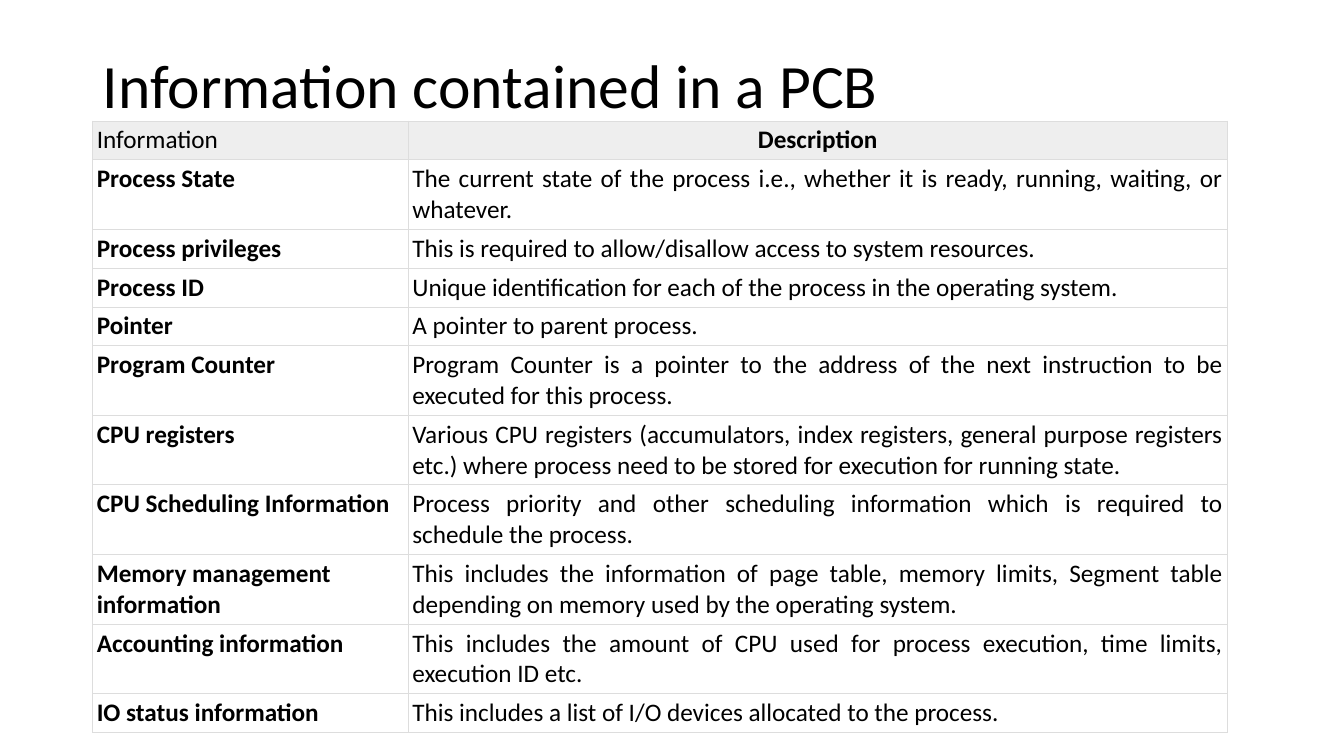
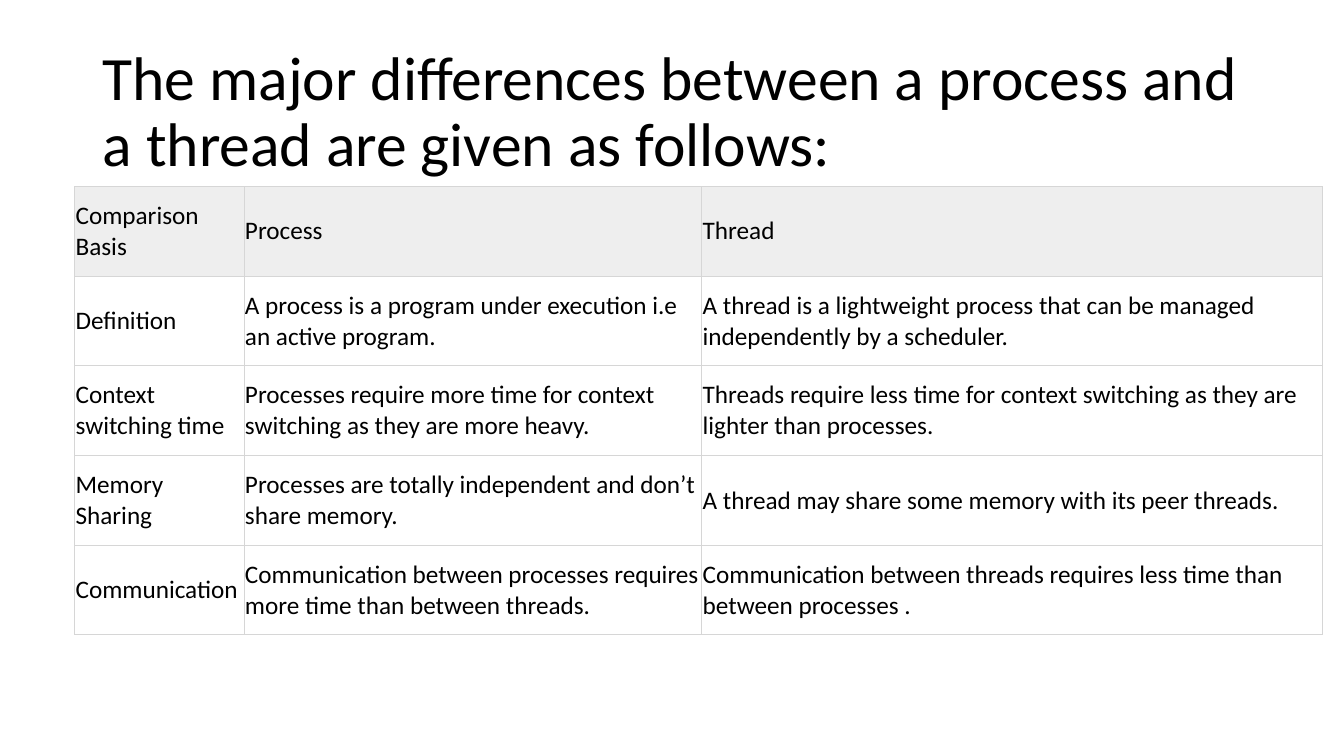
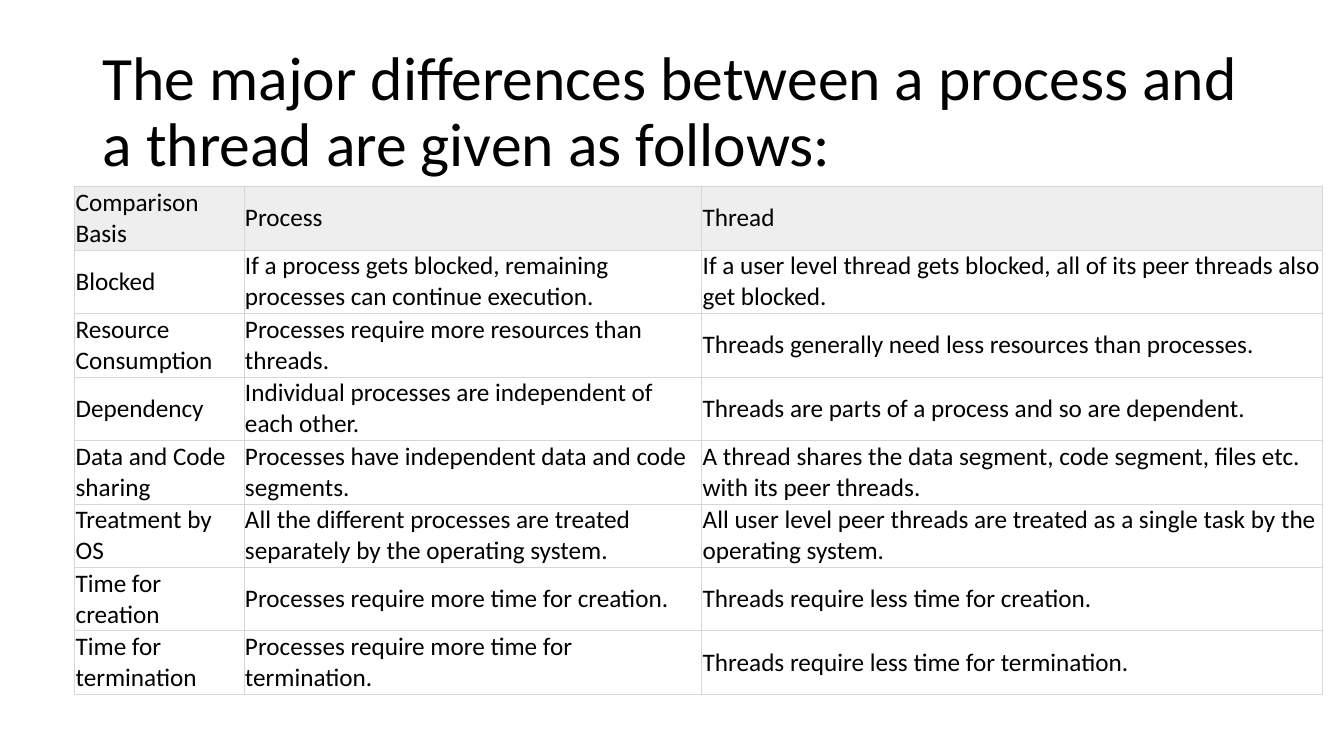
from dataclasses import dataclass

from pptx import Presentation
from pptx import util as u
from pptx.dml import color
from pptx.enum import text
from pptx.oxml import parse_xml
from pptx.oxml import ns


@dataclass(frozen=True)
class Theme:
    """Colours, font and type sizes shared by all slides."""

    font: str = "Calibri"
    ink: str = "000000"
    header: str = "EEEEEE"
    title_size: int = 44
    body_size: int = 18
    border_width: float = 0.75


@dataclass(frozen=True)
class TableStyle:
    """Look of one kind of table."""

    border: str
    inset: float
    anchor: text.MSO_ANCHOR


THEME = Theme()
PCB_STYLE = TableStyle("DDDDDD", 0.04, text.MSO_ANCHOR.TOP)
COMPARISON_STYLE = TableStyle("D6D6D6", 0.01, text.MSO_ANCHOR.MIDDLE)

LINE_HEIGHT, TWO_LINE_HEIGHT = 0.38, 0.68
LINE_LENGTH = 80

PCB_ROWS = [
    ("Information", "Description"),
    ("Process State", "The current state of the process i.e., whether it is ready, running, waiting, or whatever."),
    ("Process privileges", "This is required to allow/disallow access to system resources."),
    ("Process ID", "Unique identification for each of the process in the operating system."),
    ("Pointer", "A pointer to parent process."),
    ("Program Counter", "Program Counter is a pointer to the address of the next instruction to be executed for this process."),
    ("CPU registers", "Various CPU registers (accumulators, index registers, general purpose registers etc.) where process need to be stored for execution for running state."),
    ("CPU Scheduling Information", "Process priority and other scheduling information which is required to schedule the process."),
    ("Memory management information", "This includes the information of page table, memory limits, Segment table depending on memory used by the operating system."),
    ("Accounting information", "This includes the amount of CPU used for process execution, time limits, execution ID etc."),
    ("IO status information", "This includes a list of I/O devices allocated to the process."),
]

COMPARISON_TITLE = "The major differences between a process and a thread are given as follows:"
COMPARISON_HEADER = ("Comparison Basis", "Process", "Thread")
BASIC_DIFFERENCES = [
    ("Definition", "A process is a program under execution i.e an active program.", "A thread is a lightweight process that can be managed independently by a scheduler."),
    ("Context switching time", "Processes require more time for context switching as they are more heavy.", "Threads require less time for context switching as they are lighter than processes."),
    ("Memory Sharing", "Processes are totally independent and don’t share memory.", "A thread may share some memory with its peer threads."),
    ("Communication", "Communication between processes requires more time than between threads.", "Communication between threads requires less time than between processes ."),
]
FURTHER_DIFFERENCES = [
    ("Blocked", "If a process gets blocked, remaining processes can continue execution.", "If a user level thread gets blocked, all of its peer threads also get blocked."),
    ("Resource Consumption", "Processes require more resources than threads.", "Threads generally need less resources than processes."),
    ("Dependency", "Individual processes are independent of each other.", "Threads are parts of a process and so are dependent."),
    ("Data and Code sharing", "Processes have independent data and code segments.", "A thread shares the data segment, code segment, files etc. with its peer threads."),
    ("Treatment by OS", "All the different processes are treated separately by the operating system.", "All user level peer threads are treated as a single task by the operating system."),
    ("Time for creation", "Processes require more time for creation.", "Threads require less time for creation."),
    ("Time for termination", "Processes require more time for termination.", "Threads require less time for termination."),
]


def style_font(para, size, bold=False):
    """Set the shared font on a paragraph."""
    para.font.name = THEME.font
    para.font.size = u.Pt(size)
    para.font.bold = bold
    para.font.color.rgb = color.RGBColor.from_string(THEME.ink)


def add_title(page, wording, height):
    """Place the slide title, centred vertically in its box."""
    box = page.shapes.add_textbox(u.Inches(0.92), u.Inches(0.4), u.Inches(11.5), u.Inches(height))
    frame = box.text_frame
    frame.word_wrap = True
    frame.vertical_anchor = text.MSO_ANCHOR.MIDDLE
    para = frame.paragraphs[0]
    para.text = wording
    para.line_spacing = 0.9
    style_font(para, THEME.title_size)


def add_borders(cell, border):
    """Draw a thin line on all four sides of a cell."""
    properties = cell._tc.get_or_add_tcPr()
    for index, side in enumerate(("lnL", "lnR", "lnT", "lnB")):
        properties.insert(index, parse_xml(
            f'<a:{side} {ns.nsdecls("a")} w="{u.Pt(THEME.border_width)}"><a:solidFill>'
            f'<a:srgbClr val="{border}"/></a:solidFill></a:{side}>'))


def fill_cell(cell, wording, style, is_header):
    """Write and style one cell and return its paragraph."""
    cell.margin_left = cell.margin_right = u.Inches(style.inset)
    cell.margin_top = cell.margin_bottom = u.Inches(style.inset)
    cell.vertical_anchor = style.anchor
    if is_header:
        cell.fill.solid()
        cell.fill.fore_color.rgb = color.RGBColor.from_string(THEME.header)
    else:
        cell.fill.background()
    add_borders(cell, style.border)
    para = cell.text_frame.paragraphs[0]
    para.text = wording
    style_font(para, THEME.body_size)
    return para


def add_grid(page, left, top, widths, heights, rows, style):
    """Place a bordered table with a shaded first row."""
    table = page.shapes.add_table(
        len(rows), len(widths), u.Inches(left), u.Inches(top),
        u.Inches(sum(widths)), u.Inches(sum(heights))).table
    table.first_row = table.horz_banding = False
    for column, width in zip(table.columns, widths):
        column.width = u.Inches(width)
    for line, height in zip(table.rows, heights):
        line.height = u.Inches(height)
    for row, wordings in enumerate(rows):
        for column, wording in enumerate(wordings):
            fill_cell(table.cell(row, column), wording, style, row == 0)
    return table


def add_pcb_slide(page):
    """Build the slide listing the fields of a PCB."""
    heights = [TWO_LINE_HEIGHT if len(description) > LINE_LENGTH else LINE_HEIGHT
               for _, description in PCB_ROWS]
    table = add_grid(page, 0.92, 1.2, (3.13, 8.12), heights, PCB_ROWS, PCB_STYLE)
    for row in range(len(PCB_ROWS)):
        name, description = (table.cell(row, column).text_frame.paragraphs[0] for column in (0, 1))
        name.font.bold = row > 0
        description.font.bold = row == 0
        description.alignment = text.PP_ALIGN.JUSTIFY if row else text.PP_ALIGN.CENTER
    add_title(page, "Information contained in a PCB", 0.96)


def add_comparison_slide(page, differences, row_height):
    """Build a slide comparing processes with threads."""
    add_title(page, COMPARISON_TITLE, 1.45)
    rows = [COMPARISON_HEADER, *differences]
    add_grid(page, 0.74, 1.85, (1.68, 4.54, 6.16), [row_height] * len(rows), rows, COMPARISON_STYLE)


def main():
    """Build and save the deck."""
    deck = Presentation()
    deck.slide_width, deck.slide_height = u.Inches(13.33), u.Inches(7.5)
    blank = deck.slide_layouts[6]
    add_pcb_slide(deck.slides.add_slide(blank))
    add_comparison_slide(deck.slides.add_slide(blank), BASIC_DIFFERENCES, 0.89)
    add_comparison_slide(deck.slides.add_slide(blank), FURTHER_DIFFERENCES, 0.63)
    deck.save("out.pptx")


if __name__ == "__main__":
    main()
